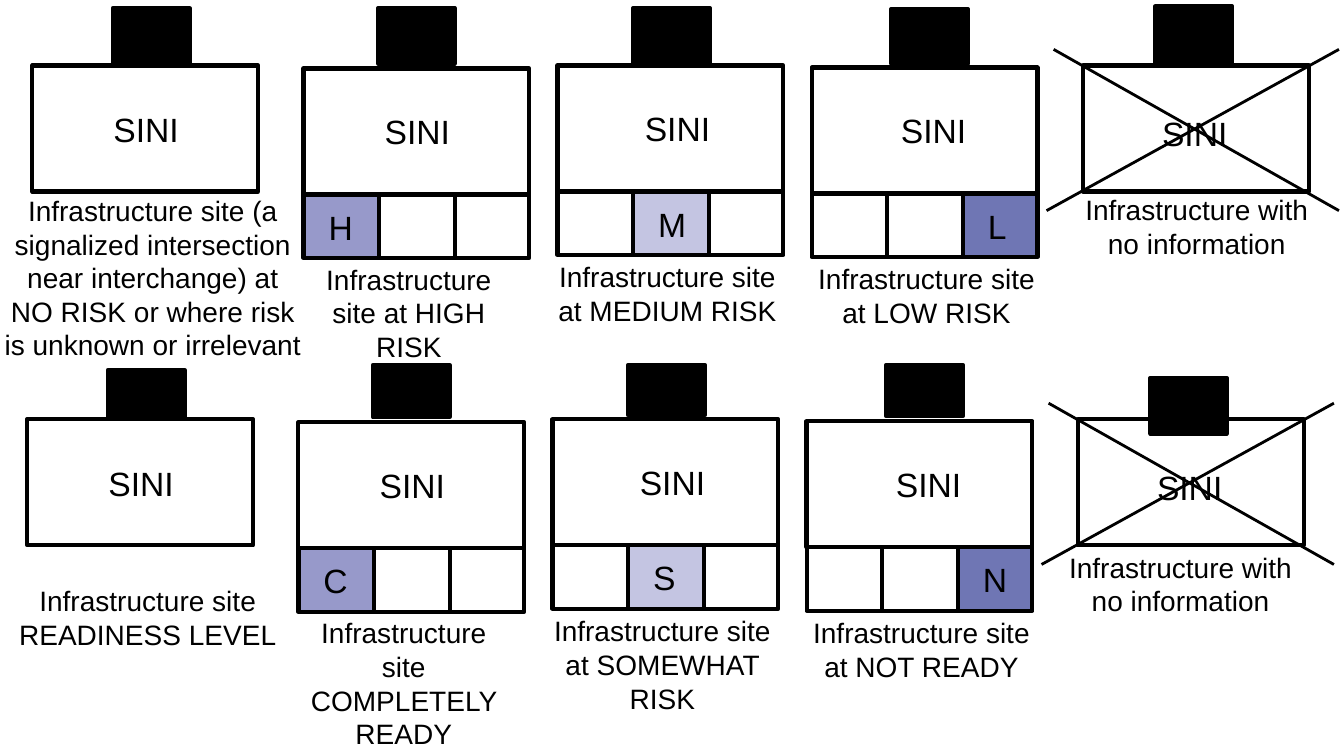
from dataclasses import dataclass
from typing import Optional

from lxml import etree
from pptx import Presentation
from pptx import util as u
from pptx.dml.color import RGBColor
from pptx.enum import shapes, text
from pptx.oxml.ns import qn

PX = 9144
COLORS = {
    "ink": "000000",
    "first": "9799CA",
    "second": "C4C5E2",
    "third": "6F76B4",
}
SLOT_COLORS = ("first", "second", "third")
SITE_WIDTH, SITE_HEIGHT = 224, 125
TAB_WIDTH = 76
SLOT_WIDTH, SLOT_HEIGHT = 75, 63


@dataclass(frozen=True)
class Column:
    left: int
    top: int
    tab_dx: int
    label_dx: int
    label_dy: int
    caption_dx: int
    caption_width: int
    slot: Optional[int] = None
    crossed: bool = False


@dataclass(frozen=True)
class Site:
    tab_top: int
    tab_height: int
    caption_top: int
    caption_height: int
    caption: str
    letter: str = ""
    caption_shift: int = 0


@dataclass(frozen=True)
class Row:
    dx: int
    dy: int
    sites: tuple[Site, ...]


COLUMNS = (
    Column(32, 65, 80, 41, 38, -38, 315),
    Column(301, 68, 74, 41, 37, -5, 219, slot=0),
    Column(553, 65, 75, 47, 37, -19, 256, slot=1),
    Column(805, 67, 79, 49, 37, -14, 256, slot=2),
    Column(1074, 65, 72, 39, 42, -15, 256, crossed=True),
)
ROWS = (
    Row(0, 0, (
        Site(8, 57, 187, 178, "Infrastructure site (a signalized intersection near "
             "interchange) at NO RISK or where risk is unknown or irrelevant"),
        Site(8, 55, 255, 111, "Infrastructure site at HIGH RISK", "H"),
        Site(8, 54, 253, 77, "Infrastructure site at MEDIUM RISK", "M"),
        Site(9, 54, 255, 77, "Infrastructure site at LOW RISK", "L"),
        Site(6, 59, 186, 77, "Infrastructure with no information"),
    )),
    Row(-5, 351, (
        Site(367, 49, 574, 77, "Infrastructure site READINESS LEVEL"),
        Site(362, 52, 606, 145, "Infrastructure site COMPLETELY READY", "C"),
        Site(362, 50, 604, 111, "Infrastructure site at SOMEWHAT RISK", "S"),
        Site(362, 51, 606, 77, "Infrastructure site at NOT READY", "N"),
        Site(375, 55, 541, 77, "Infrastructure with no information", caption_shift=-11),
    )),
)


def px(length: int) -> u.Emu:
    return u.Emu(length * PX)


def color(name: str) -> RGBColor:
    return RGBColor.from_string(COLORS[name])


def add_box(slide, left: int, top: int, width: int, height: int,
            fill: Optional[str] = None) -> None:
    shape = slide.shapes.add_shape(
        shapes.MSO_SHAPE.RECTANGLE, px(left), px(top), px(width), px(height))
    shape.shadow.inherit = False
    if fill:
        shape.fill.solid()
        shape.fill.fore_color.rgb = color(fill)
    else:
        shape.fill.background()
    shape.line.color.rgb = color("ink")
    shape.line.width = u.Pt(3)


def add_text(slide, wording: str, left: int, top: int, width: int, height: int,
             *, size: int = 24, align=text.PP_ALIGN.CENTER) -> None:
    shape = slide.shapes.add_textbox(px(left), px(top), px(width), px(height))
    frame = shape.text_frame
    frame.word_wrap = True
    frame.auto_size = text.MSO_AUTO_SIZE.SHAPE_TO_FIT_TEXT
    paragraph = frame.paragraphs[0]
    paragraph.alignment = align
    run = paragraph.add_run()
    run.text = wording
    run.font.name = "Arial"
    run.font.size = u.Pt(size)
    run.font.color.rgb = color("ink")


def add_line(slide, x1: int, y1: int, x2: int, y2: int) -> None:
    connector = slide.shapes.add_connector(
        shapes.MSO_CONNECTOR.STRAIGHT, px(x1), px(y1), px(x2), px(y2))
    connector.line.color.rgb = color("ink")
    connector.line.width = u.Pt(2)
    etree.SubElement(connector._element.spPr, qn("a:effectLst"))


def add_slots(slide, left: int, top: int, marked: int, letter: str) -> None:
    for index, fill in enumerate(SLOT_COLORS):
        slot_left = left + index * SLOT_WIDTH
        width = min(SLOT_WIDTH, left + SITE_WIDTH - slot_left)
        add_box(slide, slot_left, top, width, SLOT_HEIGHT,
                fill if index == marked else None)
    add_text(slide, letter, left + marked * SLOT_WIDTH + 15, top + 7, 55, 50,
             align=text.PP_ALIGN.LEFT)


def add_site(slide, column: Column, row: Row, site: Site) -> None:
    left, top = column.left + row.dx, column.top + row.dy
    add_box(slide, left, top, SITE_WIDTH, SITE_HEIGHT)
    add_box(slide, left + column.tab_dx, site.tab_top, TAB_WIDTH, site.tab_height, "ink")
    if column.slot is not None:
        add_slots(slide, left, top + SITE_HEIGHT, column.slot, site.letter)
    if column.crossed:
        add_line(slide, left - 36, top + 144, left + 254, top - 16)
        add_line(slide, left - 29, top - 16, left + 254, top + 144)
    add_text(slide, "SINI", left + column.label_dx, top + column.label_dy, 144, 50)
    add_text(slide, site.caption, left + column.caption_dx + site.caption_shift,
             site.caption_top, column.caption_width, site.caption_height, size=20)


def main() -> None:
    presentation = Presentation()
    presentation.slide_width, presentation.slide_height = px(1333), px(750)
    slide = presentation.slides.add_slide(presentation.slide_layouts[6])
    for row in ROWS:
        for column, site in zip(COLUMNS, row.sites):
            add_site(slide, column, row, site)
    presentation.save("out.pptx")


if __name__ == "__main__":
    main()
